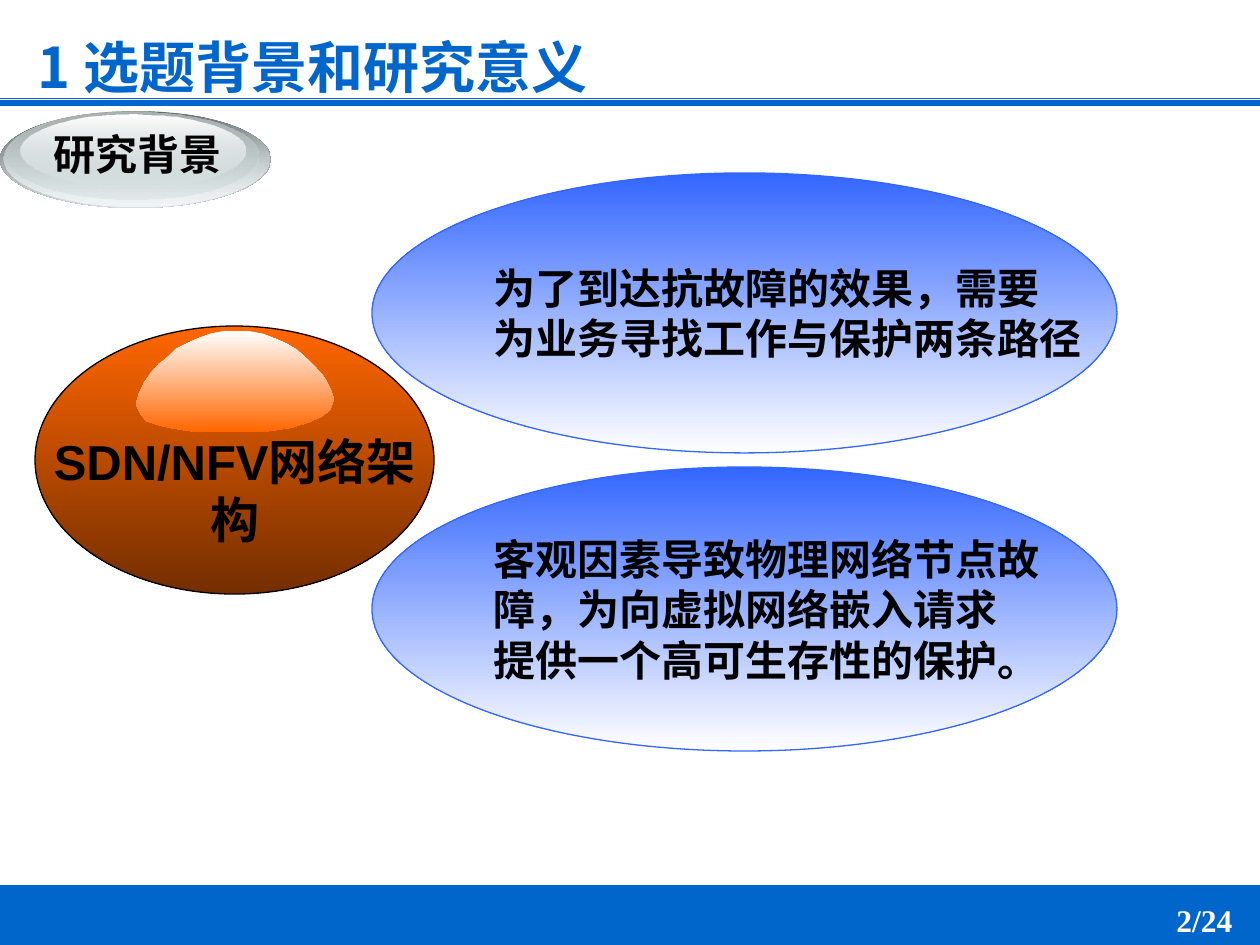
from lxml import etree
from pptx import Presentation, util as u
from pptx.dml.color import RGBColor
from pptx.enum import shapes, text
from pptx.oxml.ns import qn

PX = 914400 / 126
BLUE = "0066CC"


def style(s, top, bottom, line=None, alphas=(100, 100)):
    s.shadow.inherit = False
    s.fill.gradient()
    s.fill.gradient_angle = 270
    for stop, color in zip(s.fill.gradient_stops, (top, bottom)):
        stop.color.rgb = RGBColor.from_string(color)
    for clr, alpha in zip(s._element.spPr.iter(qn("a:srgbClr")), alphas):
        if alpha < 100:
            etree.SubElement(clr, qn("a:alpha")).set("val", str(alpha * 1000))
    if line:
        s.line.color.rgb = RGBColor.from_string(line)
        s.line.width = u.Pt(0.75)
    else:
        s.line.fill.background()


def write(s, lines, size, font, color, align, wrap=False, anchor=text.MSO_ANCHOR.TOP):
    tf = s.text_frame
    tf.text = "\n".join(lines)
    tf.word_wrap = wrap
    tf.vertical_anchor = anchor
    for p in tf.paragraphs:
        p.alignment = align
        for r in p.runs:
            r.font.size = u.Pt(size)
            r.font.name = font
            r.font.bold = True
            r.font.color.rgb = RGBColor.from_string(color)
            ea = etree.SubElement(r.font._element, qn("a:ea"))
            ea.set("typeface", "Noto Sans CJK SC")


prs = Presentation()
prs.slide_width = u.Inches(10)
prs.slide_height = u.Inches(7.5)
slide = prs.slides.add_slide(prs.slide_layouts[5])
LEFT, CENTER = text.PP_ALIGN.LEFT, text.PP_ALIGN.CENTER
OVAL = shapes.MSO_SHAPE.OVAL

title = slide.shapes.title
title.left, title.top, title.width, title.height = [u.Emu(int(v * PX)) for v in (25, 26, 677, 81)]
write(title, ["1 选题背景和研究意义"], 32, "Noto Sans CJK SC", BLUE, LEFT)

footer = slide.shapes.add_shape(
    shapes.MSO_SHAPE.RECTANGLE, *[u.Emu(int(v * PX)) for v in (0, 886, 1260, 59)])
footer.shadow.inherit = False
footer.fill.solid()
footer.fill.fore_color.rgb = RGBColor.from_string(BLUE)
footer.line.color.rgb = RGBColor.from_string(BLUE)
footer.line.width = u.Pt(0.75)

for y, weight in ((103, 3), (98, 0.25)):
    rule = slide.shapes.add_connector(
        shapes.MSO_CONNECTOR.STRAIGHT, *[u.Emu(int(v * PX)) for v in (0, y, 1260, y)])
    rule.line.color.rgb = RGBColor.from_string(BLUE)
    rule.line.width = u.Pt(weight)
    etree.SubElement(rule._element.spPr, qn("a:effectLst"))

reasons = [
    (173, 280, ["为了到达抗故障的效果，需要", "为业务寻找工作与保护两条路径"]),
    (467, 284, ["客观因素导致物理网络节点故", "障，为向虚拟网络嵌入请求", "提供一个高可生存性的保护。"]),
]
for y, h, lines in reasons:
    s = slide.shapes.add_shape(OVAL, *[u.Emu(int(v * PX)) for v in (372, y, 745, h)])
    style(s, "3366FF", "FFFFFF", "3366FF")
    write(s, lines, 24, "Calibri", "000000", LEFT, anchor=text.MSO_ANCHOR.MIDDLE)

core = slide.shapes.add_shape(OVAL, *[u.Emu(int(v * PX)) for v in (35, 326, 399, 268)])
style(core, "FF6600", "742E00", "000000")

gloss_points = [
    (330, 388), (334, 399), (330, 410), (321, 417), (307, 423), (290, 428),
    (270, 431), (255, 432), (208, 432), (189, 431), (171, 428), (158, 425),
    (146, 421), (140, 413), (136, 404), (139, 394), (144, 383), (151, 373),
    (159, 364), (168, 357), (176, 349), (188, 343), (199, 338), (210, 334),
    (223, 331), (249, 331), (263, 334), (276, 339), (287, 344), (297, 350),
    (307, 359), (316, 368), (324, 377),
]
builder = slide.shapes.build_freeform(*gloss_points[0], scale=PX)
builder.add_line_segments(gloss_points[1:], close=True)
style(builder.convert_to_shape(), "FFFFFF", "FF6600")

badge_layers = [
    (0, 111, 271, 97, "636869", "D6E1E2", (100, 100)),
    (4, 111, 265, 95, "D6E1E2", "F1F5F5", (0, 100)),
    (6, 112, 252, 88, "AAB2B3", "D6E1E2", (100, 48)),
    (21, 115, 224, 72, "FFFFFF", "D6E1E2", (100, 38)),
]
for x, y, w, h, top, bottom, alphas in badge_layers:
    s = slide.shapes.add_shape(OVAL, *[u.Emu(int(v * PX)) for v in (x, y, w, h)])
    style(s, top, bottom, alphas=alphas)

labels = [
    ((35, 425, 399, 130), "SDN/NFV网络架构", 28, "Arial", "000000", CENTER, True),
    ((39, 122, 197, 64), "研究背景", 24, "Arial", "000000", CENTER, False),
    ((1164, 895, 82, 50), "2/24", 18, "Times New Roman", "FFFFFF", LEFT, False),
]
for box, words, size, font, color, align, wrap in labels:
    s = slide.shapes.add_textbox(*[u.Emu(int(v * PX)) for v in box])
    write(s, [words], size, font, color, align, wrap)

prs.save("out.pptx")
